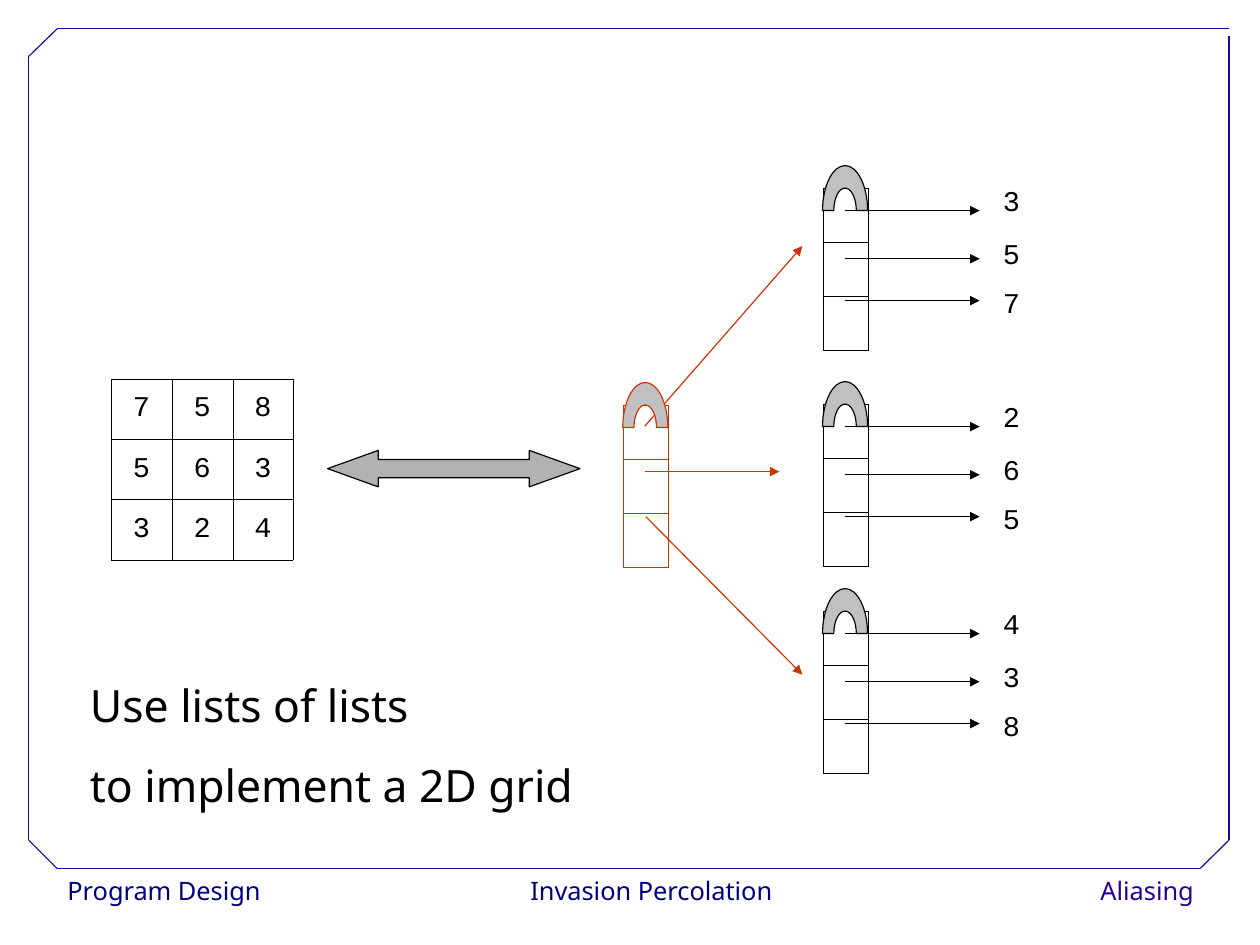
from dataclasses import dataclass

from lxml import etree
from pptx import Presentation
from pptx.dml.color import RGBColor
from pptx.enum.shapes import MSO_CONNECTOR, MSO_SHAPE
from pptx.enum.text import MSO_ANCHOR, PP_ALIGN
from pptx.oxml.ns import qn
from pptx.util import Cm, Pt

LEFT, CENTER, RIGHT = PP_ALIGN.LEFT, PP_ALIGN.CENTER, PP_ALIGN.RIGHT
TOP, MIDDLE = MSO_ANCHOR.TOP, MSO_ANCHOR.MIDDLE
STRAIGHT = MSO_CONNECTOR.STRAIGHT
DOUBLE_ARROW = MSO_SHAPE.LEFT_RIGHT_ARROW


@dataclass
class Theme:
    ink: str = "000000"
    paper: str = "FFFFFF"
    navy: str = "000080"
    frame: str = "280099"
    red: str = "CC3300"
    arch: str = "C0C0C0"
    arrow: str = "B2B2B2"
    sans: str = "Noto Sans"
    mono: str = "Courier New"
    footer_size: int = 16
    digit_size: int = 18
    body_size: int = 28
    stroke: float = 0.75


theme = Theme()


def style_text(paragraph, text, font, size, color, align, spacing):
    paragraph.text = text
    paragraph.alignment = align
    paragraph.line_spacing = spacing
    paragraph.font.name = font
    paragraph.font.size = Pt(size)
    paragraph.font.color.rgb = RGBColor.from_string(color)


def draw_line(start, end, color, arrow=False):
    line = page.shapes.add_connector(STRAIGHT, *map(Cm, start + end))
    line.line.color.rgb = RGBColor.from_string(color)
    line.line.width = Pt(theme.stroke)
    properties = line.element.spPr
    if arrow:
        outline = properties.find(qn("a:ln"))
        etree.SubElement(outline, qn("a:tailEnd"), type="triangle")
    etree.SubElement(properties, qn("a:effectLst"))


deck = Presentation()
deck.slide_width, deck.slide_height = Cm(28), Cm(21)
page = deck.slides.add_slide(deck.slide_layouts[6])

footers = [
    ("Program Design", 1.25, 4.7, theme.navy, LEFT, 0.25, 0),
    ("Invasion Percolation", 11.63, 5.69, theme.navy, CENTER, 0, 0),
    ("Aliasing", 23.22, 3.56, theme.frame, RIGHT, 0, 0.25),
]
for text, left, width, color, align, margin_left, margin_right in footers:
    box = page.shapes.add_textbox(Cm(left), Cm(19.3), Cm(width), Cm(1.02))
    box.fill.solid()
    box.fill.fore_color.rgb = RGBColor.from_string(theme.paper)
    box.text_frame.word_wrap = True
    box.text_frame.margin_left = Cm(margin_left)
    box.text_frame.margin_right = Cm(margin_right)
    style_text(box.text_frame.paragraphs[0], text, theme.sans, theme.footer_size, color, align, 1.02)

frame_lines = [
    ((1.27, 19.3), (26.67, 19.3)),
    ((0.64, 18.67), (0.64, 1.25)),
    ((1.27, 0.64), (27.31, 0.64)),
    ((27.31, 18.67), (27.31, 0.81)),
    ((0.64, 1.25), (1.27, 0.64)),
    ((26.67, 19.3), (27.31, 18.67)),
    ((0.64, 18.67), (1.27, 19.3)),
]
for start, end in frame_lines:
    draw_line(start, end, theme.frame)

grid = [[7, 5, 8], [5, 6, 3], [3, 2, 4]]
columns = [[row[index] for row in reversed(grid)] for index in range(3)]
list_tops = [4.19, 8.99, 13.59]
empty_list = [[""], [""], [""]]

tables = [
    (2.47, 8.42, 1.35, 1.34, grid, theme.ink, 0.06),
    (13.85, 9.01, 1.0, 1.2, empty_list, theme.red, 0.45),
]
tables += [(18.29, top, 1.0, 1.2, empty_list, theme.ink, 0.06) for top in list_tops]
for left, top, cell_width, cell_height, rows, color, border in tables:
    row_count, column_count = len(rows), len(rows[0])
    table = page.shapes.add_table(
        row_count, column_count, Cm(left), Cm(top),
        Cm(cell_width * column_count), Cm(cell_height * row_count),
    ).table
    table.first_row = table.horz_banding = False
    for row_index, row in enumerate(rows):
        for column_index, value in enumerate(row):
            cell = table.cell(row_index, column_index)
            cell.vertical_anchor = MIDDLE
            style_text(cell.text_frame.paragraphs[0], str(value), theme.mono,
                       theme.digit_size, theme.ink, CENTER, 1.02)
            for side in ("a:lnL", "a:lnR", "a:lnT", "a:lnB"):
                edge = etree.SubElement(cell._tc.get_or_add_tcPr(), qn(side), w=str(Pt(border)))
                fill = etree.SubElement(edge, qn("a:solidFill"))
                etree.SubElement(fill, qn("a:srgbClr"), val=color)
            cell.fill.background()

draw_line((14.33, 10.48), (17.32, 10.48), theme.red, arrow=True)
draw_line((14.33, 9.47), (17.83, 5.47), theme.red, arrow=True)
draw_line((14.35, 11.48), (17.83, 14.99), theme.red, arrow=True)

for top, values in zip(list_tops, columns):
    for value, text_offset, arrow_offset in zip(values, (0.25, 1.43, 2.51), (0.49, 1.56, 2.49)):
        box = page.shapes.add_textbox(Cm(21.84), Cm(top + text_offset - 0.64), Cm(1.27), Cm(1.27))
        box.text_frame.word_wrap = True
        box.text_frame.vertical_anchor = MIDDLE
        style_text(box.text_frame.paragraphs[0], str(value), theme.mono,
                   theme.digit_size, theme.ink, CENTER, 1.04)
        draw_line((18.77, top + arrow_offset), (21.77, top + arrow_offset), theme.ink, arrow=True)

half_turn = [(-1, 0), (-1, 0.55), (-0.55, 1), (0, 1), (0.55, 1), (1, 0.55), (1, 0)]
arches = [(14.34, 9.5, theme.red)] + [(18.78, top + 0.49, theme.ink) for top in list_tops]
for center, base, color in arches:
    inner = [(Cm(center + 0.25 * x), Cm(base - 0.5 * y)) for x, y in half_turn]
    outer = [(Cm(center + 0.5 * x), Cm(base - y)) for x, y in reversed(half_turn)]
    builder = page.shapes.build_freeform(*inner[0])
    builder.add_line_segments(inner[1:] + outer, close=True)
    arch = builder.convert_to_shape()
    segments = list(arch.element.iter(qn("a:lnTo")))
    for first in (0, 3, 7, 10):
        curve = etree.Element(qn("a:cubicBezTo"))
        segments[first].addprevious(curve)
        for segment in segments[first:first + 3]:
            curve.append(segment[0])
            segment.getparent().remove(segment)
    arch.shadow.inherit = False
    arch.fill.solid()
    arch.fill.fore_color.rgb = RGBColor.from_string(theme.arch)
    arch.line.color.rgb = RGBColor.from_string(color)
    arch.line.width = Pt(theme.stroke)

box = page.shapes.add_textbox(Cm(1.75), Cm(14.35), Cm(11.23), Cm(3.81))
box.text_frame.word_wrap = False
box.text_frame.vertical_anchor = TOP
caption = ["Use lists of lists", "to implement a 2D grid"]
box.text_frame.text = "\n".join(caption)
for paragraph, text in zip(box.text_frame.paragraphs, caption):
    style_text(paragraph, text, theme.sans, theme.body_size, theme.ink, LEFT, 1.5)

double_arrow = page.shapes.add_shape(DOUBLE_ARROW, Cm(7.28), Cm(10.01), Cm(5.61), Cm(0.81))
double_arrow.adjustments[0] = 0.5
double_arrow.adjustments[1] = 1.39
double_arrow.shadow.inherit = False
double_arrow.fill.solid()
double_arrow.fill.fore_color.rgb = RGBColor.from_string(theme.arrow)
double_arrow.line.color.rgb = RGBColor.from_string(theme.ink)
double_arrow.line.width = Pt(theme.stroke)

deck.save("out.pptx")
